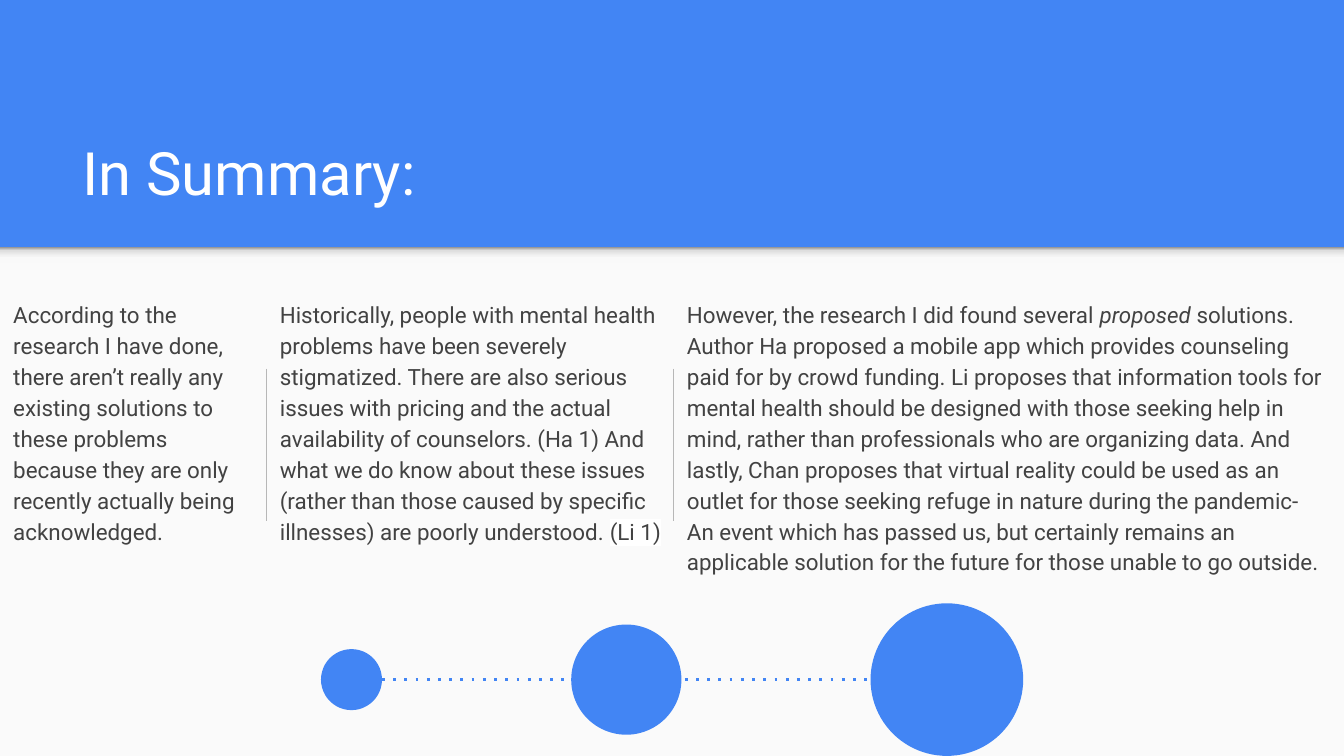
from lxml.etree import SubElement
from pptx import Presentation
from pptx.dml.color import RGBColor
from pptx.enum.shapes import MSO_CONNECTOR, MSO_SHAPE
from pptx.enum.text import MSO_ANCHOR
from pptx.oxml import parse_xml
from pptx.oxml.ns import nsdecls, qn
from pptx.util import Inches, Pt

BLUE = RGBColor(0x42, 0x85, 0xF4)
PAPER = RGBColor(0xFA, 0xFA, 0xFA)
WHITE = RGBColor(0xFF, 0xFF, 0xFF)
INK = RGBColor(0x42, 0x42, 0x42)
RULE = RGBColor(0xB7, 0xB7, 0xB7)
SHADE = [
    (0, RGBColor(0xF9, 0xF9, 0xF9)),
    (36, RGBColor(0xF9, 0xF9, 0xF9)),
    (80, RGBColor(0xDE, 0xDE, 0xDE)),
    (100, RGBColor(0x99, 0x99, 0x99)),
]

WIDTH, HEIGHT = 100, 56.25
HEADER = 18.4
TEXT_TOP, TEXT_HEIGHT = 21.13, 6.3
RULE_TOP, RULE_BOTTOM = 27.43, 38.8
CIRCLE_AXIS = 50.57

COLUMNS = [
    (0, 19.84, [("According to the research I have done, there aren’t really any existing solutions to these problems because they are only recently actually being acknowledged.", "")]),
    (19.84, 31.1, [
        ("Historically, people with mental health problems have been severely stigmatized. There are also serious issues with pricing and the actual availability of counselors. (Ha 1) And what we do know about these issues (rather than those caused by specific illnesses) are poorly understood. ", ""),
        ("(Li 1)", "highlight"),
    ]),
    (50.13, 49.87, [
        ("However, the research I did found several ", ""),
        ("proposed", "italic"),
        (" solutions. Author Ha proposed a mobile app which provides counseling paid for by crowd funding. Li proposes that information tools for mental health should be designed with those seeking help in mind, rather than professionals who are organizing data. And lastly, Chan proposes that virtual reality could be used as an outlet for those seeking refuge in nature during the pandemic- An event which has passed us, but certainly remains an applicable solution for the future for those unable to go outside.", ""),
    ]),
]
CIRCLES = [(26.15, 4.54), (46.6, 8.2), (70.45, 11.36)]


def grid(units):
    """Convert grid units, ten to the inch, into a length."""
    return Inches(units / 10)


class SummarySlide:
    """Draws styled elements on one slide, placed in grid units."""

    font = "Roboto"

    def __init__(self, presentation):
        self.slide = presentation.slides.add_slide(presentation.slide_layouts[6])
        self.slide.background.fill.solid()
        self.slide.background.fill.fore_color.rgb = BLUE

    def shape(self, kind, left, top, width, height, color):
        """Add a borderless shape in one colour."""
        shape = self.slide.shapes.add_shape(
            kind, grid(left), grid(top), grid(width), grid(height))
        shape.shadow.inherit = False
        shape.fill.solid()
        shape.fill.fore_color.rgb = color
        shape.line.fill.background()
        return shape

    def shade(self, top, height, stops):
        """Add a full-width strip that fades downwards."""
        shape = self.shape(MSO_SHAPE.RECTANGLE, 0, top, WIDTH, height, PAPER)
        stop_xml = "".join(
            f'<a:gs pos="{place * 1000}"><a:srgbClr val="{color}"/></a:gs>'
            for place, color in stops)
        gradient = parse_xml(
            f'<a:gradFill {nsdecls("a")}><a:gsLst>{stop_xml}</a:gsLst>'
            '<a:lin ang="16200000" scaled="0"/></a:gradFill>')
        properties = shape.element.spPr
        properties.replace(properties.find(qn("a:solidFill")), gradient)

    def circle(self, center, diameter):
        """Add a circle centred on the circle axis."""
        self.shape(MSO_SHAPE.OVAL, center - diameter / 2,
                   CIRCLE_AXIS - diameter / 2, diameter, diameter, BLUE)

    def line(self, start, end, color, weight, dash=None):
        """Add a straight line between two grid points."""
        connector = self.slide.shapes.add_connector(
            MSO_CONNECTOR.STRAIGHT, *map(grid, start + end))
        connector.line.color.rgb = color
        connector.line.width = Pt(weight)
        properties = connector.element.spPr
        if dash:
            SubElement(properties.find(qn("a:ln")), qn("a:prstDash"), val=dash)
        SubElement(properties, qn("a:effectLst"))

    def text(self, left, top, width, height, runs, size, color, anchor=MSO_ANCHOR.TOP):
        """Add a wrapped text box and return its paragraph."""
        box = self.slide.shapes.add_textbox(
            grid(left), grid(top), grid(width), grid(height))
        frame = box.text_frame
        frame.word_wrap = True
        frame.vertical_anchor = anchor
        frame.margin_left = frame.margin_right = grid(1)
        frame.margin_top = frame.margin_bottom = grid(1)
        paragraph = frame.paragraphs[0]
        for words, style in runs:
            run = paragraph.add_run()
            run.text = words
            run.font.name = self.font
            run.font.size = Pt(size)
            run.font.color.rgb = color
            if style == "italic":
                run.font.italic = True
            if style == "highlight":
                run.font._element.find(qn("a:solidFill")).addnext(parse_xml(
                    f'<a:highlight {nsdecls("a")}><a:srgbClr val="{WHITE}"/></a:highlight>'))
        return paragraph

    def column(self, left, width, runs):
        """Add a column of body text."""
        paragraph = self.text(left, TEXT_TOP, width, TEXT_HEIGHT, runs, 12, INK)
        paragraph.line_spacing = 1.15
        paragraph.space_after = Pt(16)


def main():
    """Build the summary slide and save it."""
    presentation = Presentation()
    presentation.slide_width = grid(WIDTH)
    presentation.slide_height = grid(HEIGHT)
    summary = SummarySlide(presentation)

    summary.shape(MSO_SHAPE.RECTANGLE, 0, HEADER, WIDTH, HEIGHT - HEADER, PAPER)
    summary.shade(HEADER, 1.2, SHADE)
    summary.text(5.15, 8.1, 89.9, 8.35, [("In Summary:", "")], 32, WHITE, MSO_ANCHOR.BOTTOM)

    for left, width, runs in COLUMNS:
        if left:
            summary.line((left, RULE_TOP), (left, RULE_BOTTOM), RULE, 0.75)
        summary.column(left, width, runs)

    first, last = CIRCLES[0], CIRCLES[-1]
    summary.line((first[0] + first[1] / 2, CIRCLE_AXIS),
                 (last[0] - last[1] / 2, CIRCLE_AXIS), BLUE, 1.5, "dot")
    for center, diameter in CIRCLES:
        summary.circle(center, diameter)

    presentation.save("out.pptx")


if __name__ == "__main__":
    main()
